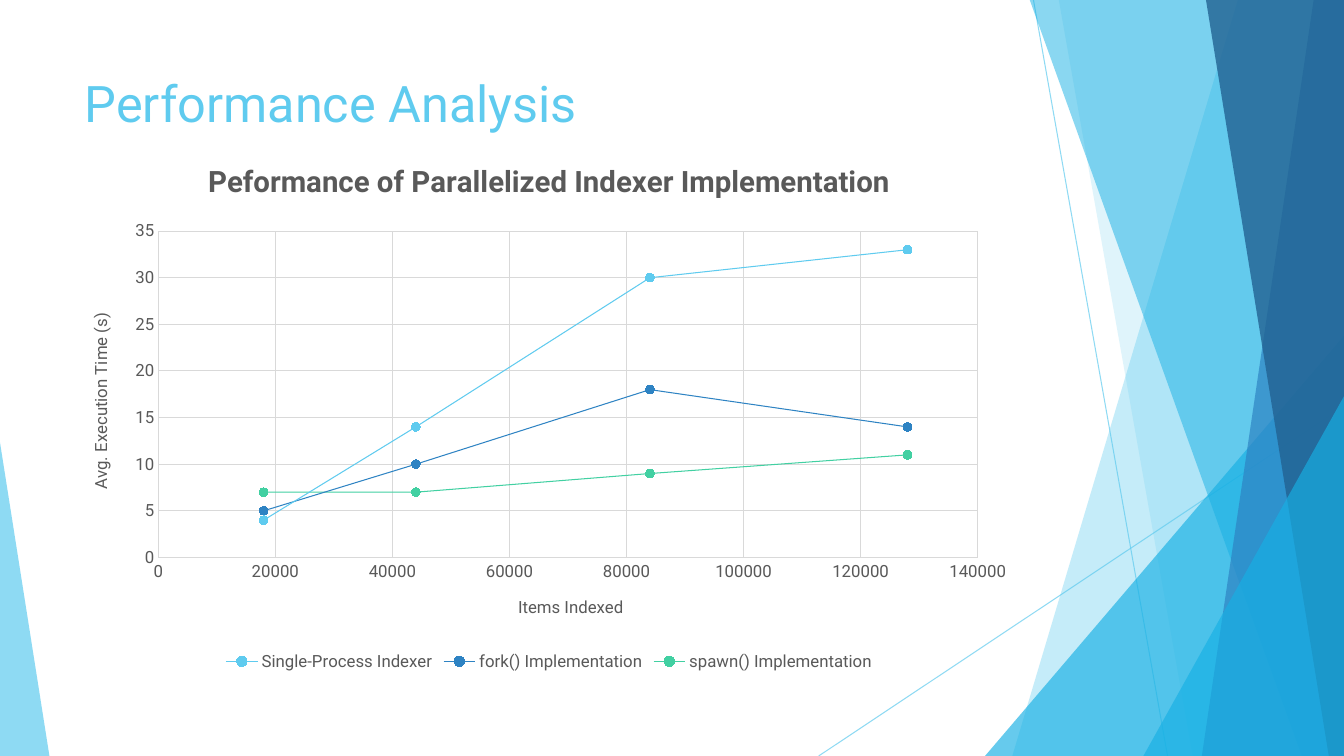
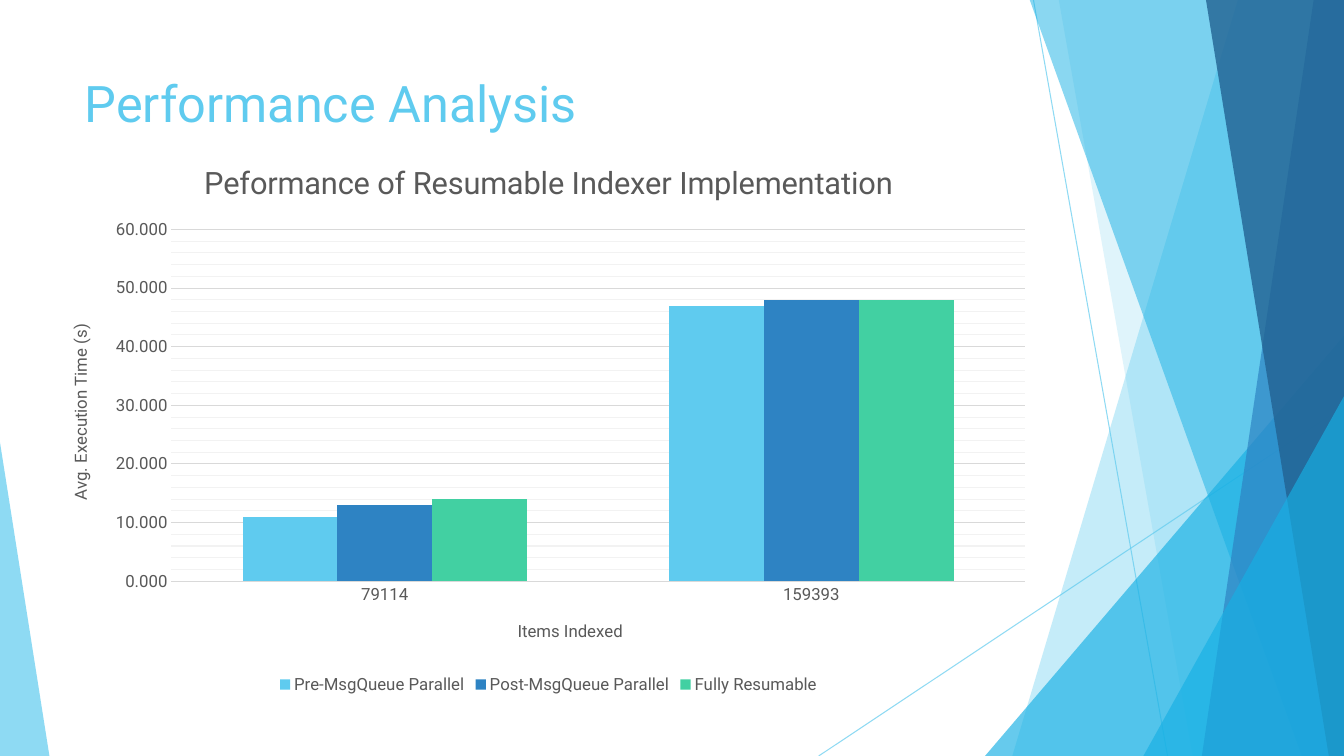
from lxml import etree
from pptx import Presentation
from pptx.chart import data as cd
from pptx.dml.color import RGBColor
from pptx.enum import chart as ch, shapes, text
from pptx.oxml import ns, parse_xml
from pptx.util import Inches, Pt

FONT = "Roboto"
COLORS = {
    "sky": "5FCBEF", "cyan": "17B0E4", "blue": "2E83C3", "navy": "226292",
    "green": "42D0A2", "gray": "595959", "grid": "D9D9D9", "minor": "F2F2F2",
}
SERIES_COLORS = ["sky", "blue", "green"]
W, H = 13.33, 7.5


def rgb(name):
    return RGBColor.from_string(COLORS[name])


def style_font(font, size, color, bold=False):
    font.name, font.size, font.bold = FONT, Pt(size), bold
    font.color.rgb = rgb(color)


# Decoration
def set_alpha(shape, percent):
    for clr in shape.element.spPr.iter(ns.qn("a:srgbClr")):
        etree.SubElement(clr, ns.qn("a:alpha"), val=str(percent * 1000))


def paint(sp, color, alpha):
    sp.shadow.inherit = False
    sp.fill.solid()
    sp.fill.fore_color.rgb = rgb(color)
    sp.line.fill.background()
    set_alpha(sp, alpha)
    return sp


def add_line(s, x1, y1, x2, y2):
    ln = s.shapes.add_connector(shapes.MSO_CONNECTOR.STRAIGHT,
                                Inches(x1), Inches(y1), Inches(x2), Inches(y2))
    ln.line.color.rgb = rgb("sky")
    ln.line.width = Pt(0.75)
    set_alpha(ln, 70)
    etree.SubElement(ln.element.spPr, ns.qn("a:effectLst"))
    return ln


def add_band(s, top_x, bottom_x, color, alpha):
    """Band from a slanted left edge to the right edge of the slide."""
    pts = [(Inches(x), Inches(y)) for x, y in
           ((top_x, -0.01), (W, -0.01), (W, H), (bottom_x, H))]
    fb = s.shapes.build_freeform(*pts[0])
    fb.add_line_segments(pts[1:], close=True)
    return paint(fb.convert_to_shape(), color, alpha)


def add_triangle(s, x, y, w, apex, color, alpha):
    """Triangle standing on the bottom edge of the slide."""
    sp = s.shapes.add_shape(shapes.MSO_SHAPE.ISOSCELES_TRIANGLE,
                            Inches(x), Inches(y), Inches(w), Inches(H - y))
    sp.adjustments[0] = apex
    return paint(sp, color, alpha)


def decorate_layout(layout, s):
    """Draw the facets on a slide, then move them to its layout."""
    for ph in list(layout.placeholders):
        if ph.placeholder_format.idx:
            ph.element.getparent().remove(ph.element)
    facets = [
        add_line(s, 10.25, 0, 11.58, H),
        add_line(s, W, 4.03, 8.12, H),
        add_band(s, 12.28, 10.04, "sky", 36),
        add_band(s, 10.5, 11.83, "sky", 20),
        add_triangle(s, 9.77, 3.33, 3.56, 1, "cyan", 66),
        add_band(s, 10.21, 12.91, "cyan", 50),
        add_band(s, 13.03, 11.92, "blue", 70),
        add_band(s, 11.96, 13.18, "navy", 80),
        add_triangle(s, 11.34, 3.93, 1.99, 1, "cyan", 66),
        add_triangle(s, 0, 4.39, 0.49, 0, "sky", 70),
    ]
    for facet in facets:
        layout.shapes.element.append(facet.element)


# Title
def set_title(s, title):
    sp = s.shapes.title
    sp.left, sp.top, sp.width, sp.height = map(Inches, (0.74, 0.67, 9.4, 1.44))
    tf = sp.text_frame
    tf.text = title
    tf.vertical_anchor = text.MSO_ANCHOR.TOP
    tf.paragraphs[0].alignment = text.PP_ALIGN.LEFT
    style_font(tf.paragraphs[0].runs[0].font, 36, "sky")


# Charts
def set_text(titled, title, size, bold=False):
    tf = titled.text_frame
    tf.text = title
    style_font(tf.paragraphs[0].runs[0].font, size, "gray", bold)


def style_axis(axis, title, rotation=0):
    set_text(axis.axis_title, title, 12)
    for body in axis.axis_title.element.iter(ns.qn("a:bodyPr")):
        body.set("rot", str(rotation * 60000))
    style_font(axis.tick_labels.font, 12, "gray")
    axis.major_tick_mark = axis.minor_tick_mark = ch.XL_TICK_MARK.NONE
    axis.format.line.fill.background()


def scale_axis(axis, top, step, number_format="General"):
    axis.minimum_scale, axis.maximum_scale, axis.major_unit = 0, top, step
    axis.tick_labels.number_format = number_format
    axis.tick_labels.number_format_is_linked = False
    axis.has_major_gridlines = True
    axis.major_gridlines.format.line.color.rgb = rgb("grid")
    axis.major_gridlines.format.line.width = Pt(0.75)


def add_minor_grid(chart, step):
    axis = chart.value_axis
    axis.minor_unit = step
    axis.has_minor_gridlines = True
    for grid in chart.element.iter(ns.qn("c:minorGridlines")):
        grid.append(parse_xml(
            f'<c:spPr {ns.nsdecls("c", "a")}><a:ln w="{Pt(0.75)}"><a:solidFill>'
            f'<a:srgbClr val="{COLORS["minor"]}"/></a:solidFill></a:ln></c:spPr>'))


def place_plot(chart, x, y, w, h):
    """Fix the inner plot area, in fractions of the chart."""
    plot = chart.element.chart.plotArea
    for old in plot.findall(ns.qn("c:layout")):
        plot.remove(old)
    parts = "".join(f'<c:{k} val="{v}"/>' for k, v in
                    zip(("x", "y", "w", "h"), (x, y, w, h)))
    plot.insert(0, parse_xml(
        f'<c:layout {ns.nsdecls("c")}><c:manualLayout><c:layoutTarget val="inner"/>'
        f'<c:xMode val="edge"/><c:yMode val="edge"/>{parts}</c:manualLayout></c:layout>'))


def add_chart(s, kind, data, box, title, size, bold, plot_box):
    chart = s.shapes.add_chart(kind, *map(Inches, box), data).chart
    style_font(chart.font, 12, "gray")
    chart.has_title = True
    set_text(chart.chart_title, title, size, bold)
    chart.has_legend = True
    chart.legend.position = ch.XL_LEGEND_POSITION.BOTTOM
    chart.legend.include_in_layout = False
    style_font(chart.legend.font, 12, "gray")
    style_axis(chart.category_axis, "Items Indexed")
    style_axis(chart.value_axis, "Avg. Execution Time (s)", -90)
    chart.plots[0].vary_by_categories = False
    place_plot(chart, *plot_box)
    return chart


def add_scatter(s):
    items = [18000, 44000, 84000, 128000]
    data = cd.XyChartData()
    for name, times in (("Single-Process Indexer", [4, 14, 30, 33]),
                        ("fork() Implementation", [5, 10, 18, 14]),
                        ("spawn() Implementation", [7, 7, 9, 11])):
        series = data.add_series(name)
        for x, y in zip(items, times):
            series.add_data_point(x, y)
    chart = add_chart(s, ch.XL_CHART_TYPE.XY_SCATTER_SMOOTH, data,
                      (0.72, 1.39, 9.45, 5.31),
                      "Peformance of Parallelized Indexer Implementation", 21, True,
                      (0.09, 0.17, 0.86, 0.61))
    scale_axis(chart.category_axis, 140000, 20000)
    scale_axis(chart.value_axis, 35, 5)
    for series, color in zip(chart.plots[0].series, SERIES_COLORS):
        series.smooth = True
        series.format.line.width = Pt(0.75)
        series.marker.style = ch.XL_MARKER_STYLE.CIRCLE
        series.marker.size = 6
        series.marker.format.fill.solid()
        series.marker.format.fill.fore_color.rgb = rgb(color)
        for line in (series.format.line, series.marker.format.line):
            line.color.rgb = rgb(color)


def add_columns(s):
    data = cd.CategoryChartData()
    data.categories = ["79114", "159393"]
    data.add_series("Pre-MsgQueue Parallel", [11, 47])
    data.add_series("Post-MsgQueue Parallel", [13, 48])
    data.add_series("Fully Resumable", [14, 48])
    chart = add_chart(s, ch.XL_CHART_TYPE.COLUMN_CLUSTERED, data,
                      (0.52, 1.39, 9.84, 5.54),
                      "Peformance of Resumable Indexer Implementation", 22, False,
                      (0.12, 0.16, 0.86, 0.63))
    scale_axis(chart.value_axis, 60, 10, "0.000")
    add_minor_grid(chart, 2)
    chart.plots[0].gap_width, chart.plots[0].overlap = 150, 0
    for series, color in zip(chart.plots[0].series, SERIES_COLORS):
        series.format.fill.solid()
        series.format.fill.fore_color.rgb = rgb(color)


def main():
    prs = Presentation()
    prs.slide_width, prs.slide_height = Inches(W), Inches(H)
    layout = prs.slide_layouts[5]
    for i, add_content in enumerate((add_scatter, add_columns)):
        s = prs.slides.add_slide(layout)
        if i == 0:
            decorate_layout(layout, s)
        set_title(s, "Performance Analysis")
        add_content(s)
    prs.save("out.pptx")


if __name__ == "__main__":
    main()
